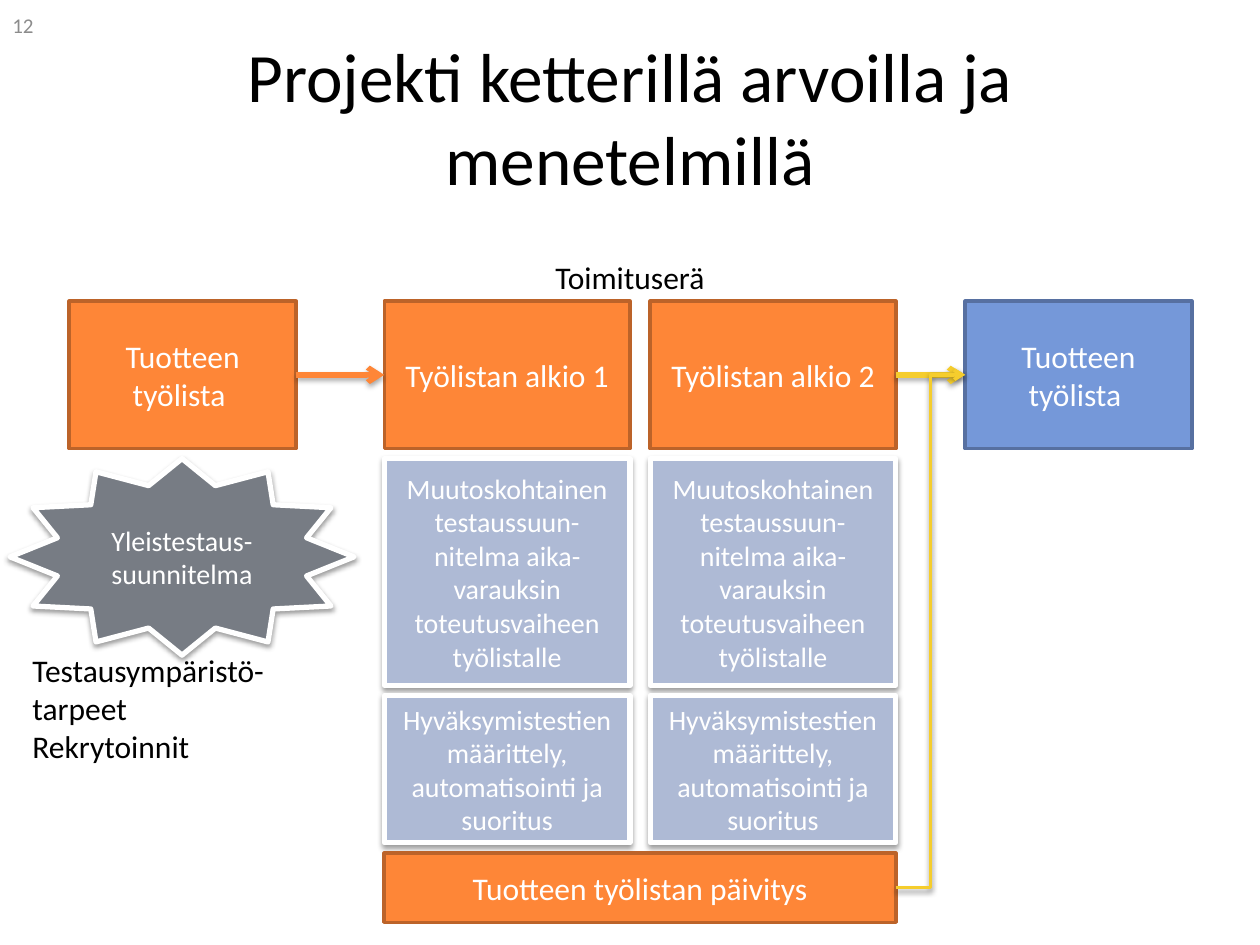
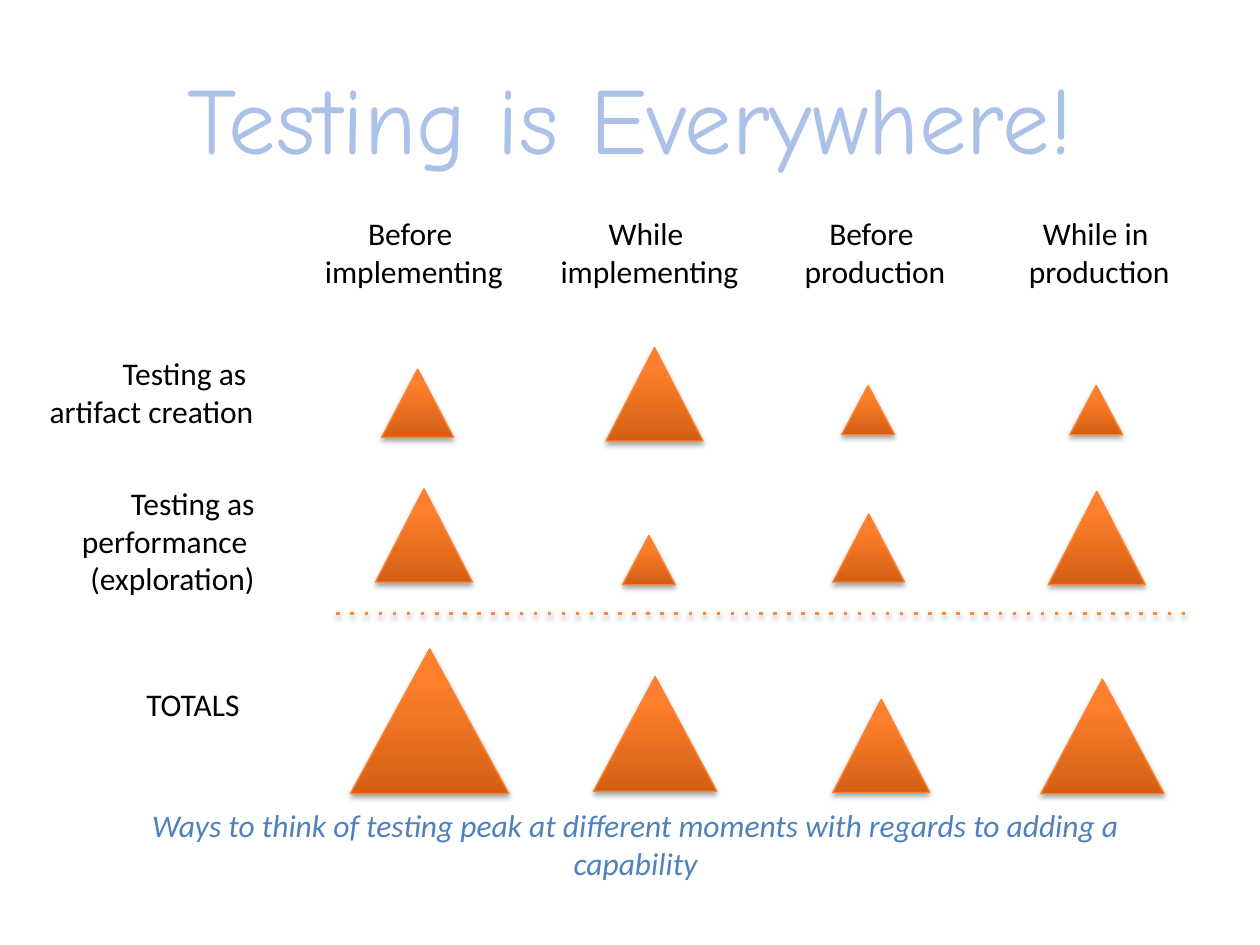
from dataclasses import dataclass

from lxml import etree
from pptx import Presentation
from pptx.dml.color import RGBColor
from pptx.enum import dml, shapes, text
from pptx.oxml.ns import qn
from pptx.util import Inches, Pt


@dataclass(frozen=True)
class Theme:
    font: str = "Calibri"
    fancy: str = "Comic Neue"
    black: str = "000000"
    white: str = "FFFFFF"
    grey: str = "8C8C8C"
    orange: str = "FE8637"
    rust: str = "BC6329"
    blue: str = "7598D9"
    navy: str = "5770A1"
    pale: str = "AEBAD5"
    slate: str = "777C84"
    gold: str = "F5CD2D"
    sky: str = "ACC1E8"
    quote: str = "4F81BD"
    flame: str = "FF802C"
    ember: str = "D45F13"
    edge: str = "FD8231"
    title: float = 39.6
    big: float = 54
    body: float = 18
    small: float = 16
    tiny: float = 12


T = Theme()
SHAPE = shapes.MSO_SHAPE
LINK = shapes.MSO_CONNECTOR
ALIGN = text.PP_ALIGN
ANCHOR = text.MSO_ANCHOR
LEFT_SITE, RIGHT_SITE = 1, 3

# Slide 1 grid
ITEM_LEFTS = (3.05, 5.16)
ITEM_WIDTH = 1.95
TOP, BOX_HIGH = 2.39, 1.17
PLAN = "Muutoskohtainen testaussuun-nitelma aika-varauksin toteutusvaiheen työlistalle"
CHECK = "Hyväksymistestien määrittely, automatisointi ja suoritus"

# Slide 2 content
PHASES = (
    ("Before \vimplementing", 2.47, 1.63),
    ("While \vimplementing", 4.34, 1.63),
    ("Before \vproduction", 6.28, 1.33),
    ("While in \vproduction", 8.06, 1.33),
)
KINDS = (
    ("Testing as \vartifact creation", (0.26, 2.76, 1.85, 0.71)),
    ("Testing as\vperformance \v(exploration)", (0.26, 3.79, 1.86, 1.01)),
    ("TOTALS", (1.02, 5.39, 0.98, 0.4)),
)
SIZES = {"S": (0.42, 0.39), "M": (0.57, 0.54), "L": (0.77, 0.74),
         "XL": (0.98, 0.91), "XXL": (1.26, 1.15)}
PEAKS = (
    (("M", 3.03, 2.93), ("L", 4.81, 2.76), ("S", 6.68, 3.06), ("S", 8.49, 3.06)),
    (("L", 2.98, 3.88), ("S", 4.94, 4.25), ("M", 6.61, 4.08), ("L", 8.32, 3.9)),
    (("XXL", 2.78, 5.15), ("XL", 4.71, 5.37), ("L", 6.61, 5.55), ("XL", 8.26, 5.39)),
)


def rgb(code):
    return RGBColor.from_string(code)


def inches(*values):
    return [Inches(v) for v in values]


def write(frame, words, size, color, align=ALIGN.CENTER, font=T.font, italic=None):
    """Fill a text frame; a vertical tab breaks a line, a newline a paragraph."""
    frame.text = words
    for para in frame.paragraphs:
        para.alignment = align
        face = para.font
        face.name, face.size, face.italic = font, Pt(size), italic
        face.color.rgb = rgb(color)


def shade(shape, alpha=0, dist=1.6):
    """Set a downward shadow, or none at alpha 0; call after fill and line."""
    effects = etree.SubElement(shape.element.spPr, qn("a:effectLst"))
    if alpha:
        outer = etree.SubElement(
            effects, qn("a:outerShdw"), blurRad=str(Pt(3.1)), dist=str(Pt(dist)),
            dir="5400000", rotWithShape="0")
        color = etree.SubElement(outer, qn("a:srgbClr"), val=T.black)
        etree.SubElement(color, qn("a:alpha"), val=str(alpha * 1000))


def stroke(shape, color, width):
    shape.line.color.rgb = rgb(color)
    shape.line.width = Pt(width)


def mark(link, tag, **attrs):
    """Append a dash or an arrowhead to the line of a connector."""
    etree.SubElement(link.element.spPr.find(qn("a:ln")), qn(tag), **attrs)


def add_title(slide, words, size, color, font=T.font):
    title = slide.shapes.title
    title.left, title.top, title.width, title.height = inches(0.5, 0.3, 9, 1.25)
    frame = title.text_frame
    write(frame, words, size, color, font=font)
    frame.auto_size = text.MSO_AUTO_SIZE.NONE
    frame.vertical_anchor = ANCHOR.MIDDLE


def add_label(slide, words, place, size=T.body, color=T.black, wrap=True,
              anchor=ANCHOR.TOP, **style):
    frame = slide.shapes.add_textbox(*inches(*place)).text_frame
    frame.word_wrap = wrap
    frame.vertical_anchor = anchor
    write(frame, words, size, color, **style)


def add_box(slide, words, place, fill=T.orange, edge=T.rust):
    box = slide.shapes.add_shape(SHAPE.RECTANGLE, *inches(*place))
    box.fill.solid()
    box.fill.fore_color.rgb = rgb(fill)
    stroke(box, edge, 2)
    shade(box)
    write(box.text_frame, words, T.body, T.white)
    return box


def add_card(slide, words, place, fill=T.pale, form=SHAPE.RECTANGLE):
    """Add a raised shape with a white rim."""
    card = slide.shapes.add_shape(form, *inches(*place))
    card.fill.solid()
    card.fill.fore_color.rgb = rgb(fill)
    stroke(card, T.white, 3)
    shade(card, 38)
    write(card.text_frame, words, T.small, T.white)


def add_arrow(slide, start, end, color, width, alpha, dist):
    """Join the right side of one box to the left side of another."""
    arrow = slide.shapes.add_connector(LINK.ELBOW, 0, 0, 0, 0)
    arrow.begin_connect(start, RIGHT_SITE)
    arrow.end_connect(end, LEFT_SITE)
    stroke(arrow, color, width)
    mark(arrow, "a:tailEnd", type="arrow")
    shade(arrow, alpha, dist)


def add_peak(slide, size, left, top):
    peak = slide.shapes.add_shape(SHAPE.ISOSCELES_TRIANGLE,
                                  *inches(left, top, *SIZES[size]))
    peak.fill.gradient()
    peak.fill.gradient_angle = 90
    stops = peak.fill.gradient_stops
    for stop, color, spot in zip(stops, (T.ember, T.flame), (0, 0.8)):
        stop.color.rgb = rgb(color)
        stop.position = spot
    stroke(peak, T.edge, 0.75)
    shade(peak, 35, 1.8)


def add_rule(slide, left, right, y):
    rule = slide.shapes.add_connector(LINK.STRAIGHT, *inches(left, y, right, y))
    stroke(rule, T.orange, 2)
    mark(rule, "a:prstDash", val="dot")
    shade(rule, 38)


def draw_project(slide):
    add_title(slide, "Projekti ketterillä arvoilla ja menetelmillä", T.title, T.black)
    add_label(slide, "12", (0, 0, 2.33, 0.4), T.tiny, T.grey,
              anchor=ANCHOR.MIDDLE, align=ALIGN.LEFT)
    add_label(slide, "Toimituserä", (3.75, 2, 2.5, 0.4))
    add_label(slide, "Testausympäristö-\vtarpeet\nRekrytoinnit",
              (0.16, 5.12, 2.97, 1.01), align=ALIGN.LEFT)

    source = add_box(slide, "Tuotteen työlista ", (0.55, TOP, 1.8, BOX_HIGH))
    items = []
    for num, left in enumerate(ITEM_LEFTS, 1):
        items.append(add_box(slide, f"Työlistan alkio {num}",
                             (left, TOP, ITEM_WIDTH, BOX_HIGH)))
        add_card(slide, PLAN, (left, 3.64, ITEM_WIDTH, 1.8))
        add_card(slide, CHECK, (left, 5.52, ITEM_WIDTH, BOX_HIGH))
    update = add_box(slide, "Tuotteen työlistan päivitys", (3.05, 6.77, 4.06, 0.55))
    result = add_box(slide, "Tuotteen työlista ", (7.66, TOP, 1.8, BOX_HIGH),
                     T.blue, T.navy)
    add_card(slide, "Yleistestaus-suunnitelma", (0.08, 3.64, 2.73, 1.56),
             T.slate, SHAPE.STAR_12_POINT)

    add_arrow(slide, source, items[0], T.orange, 3, 35, 1.8)
    add_arrow(slide, items[1], result, T.gold, 3, 35, 1.8)
    add_arrow(slide, update, result, T.gold, 2, 38, 1.6)


def draw_peaks(slide):
    add_title(slide, "Testing is Everywhere!", T.big, T.sky, T.fancy)
    for words, left, width in PHASES:
        add_label(slide, words, (left, 1.65, width, 0.71), wrap=False)
    for words, place in KINDS:
        add_label(slide, words, place, wrap=False, align=ALIGN.RIGHT)
    add_rule(slide, 2.67, 9.41, 4.87)
    for row in PEAKS:
        for peak in row:
            add_peak(slide, *peak)
    add_label(slide, "Ways to think of testing peak at different moments "
              "with regards to adding a capability",
              (0.68, 6.35, 8.73, 0.4), color=T.quote, italic=True)


def main():
    deck = Presentation()
    deck.slide_width, deck.slide_height = inches(10, 7.5)
    layout = deck.slide_layouts.get_by_name("Title Only")
    for draw in (draw_project, draw_peaks):
        slide = deck.slides.add_slide(layout)
        slide.background.fill.solid()
        slide.background.fill.fore_color.rgb = rgb(T.white)
        draw(slide)
    deck.save("out.pptx")


if __name__ == "__main__":
    main()
